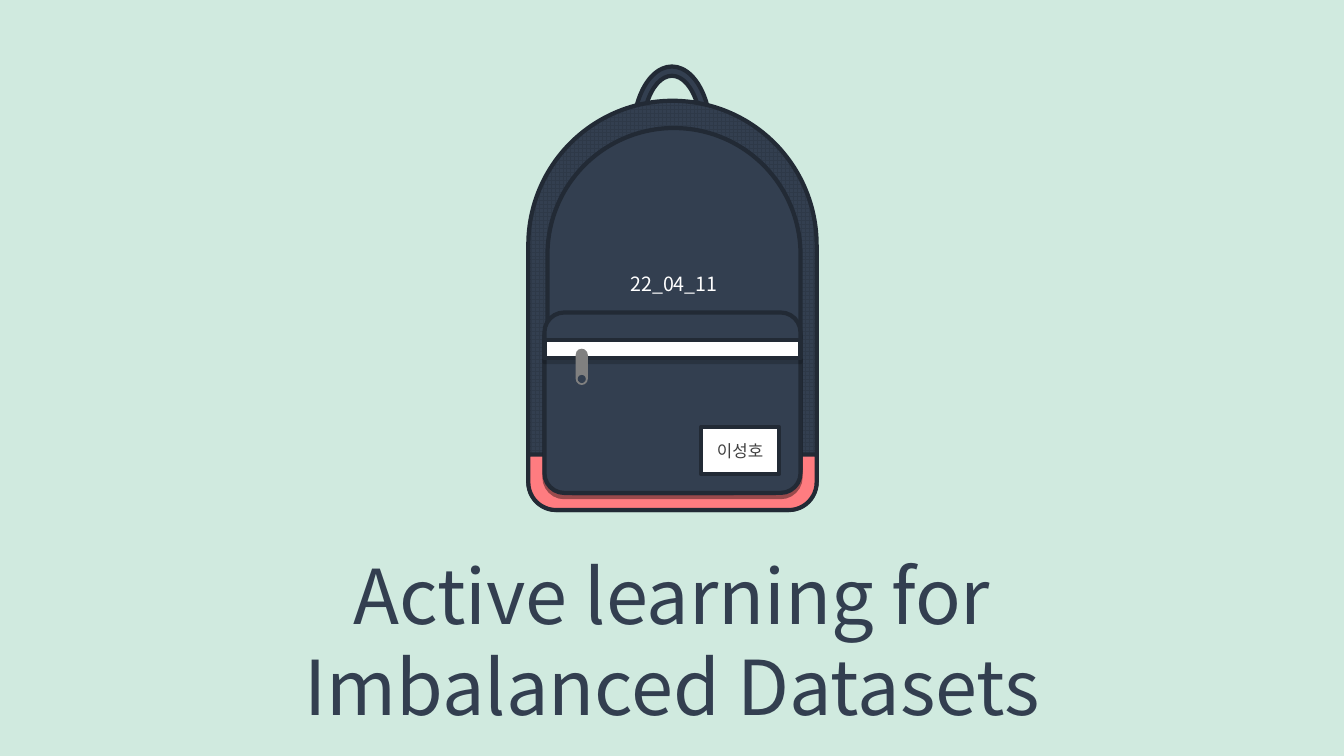
from lxml import etree
from pptx import Presentation
from pptx.dml.color import RGBColor
from pptx.enum.dml import MSO_PATTERN
from pptx.enum.shapes import MSO_SHAPE as Shape
from pptx.enum.text import MSO_ANCHOR as Anchor, MSO_AUTO_SIZE as AutoSize, PP_ALIGN as Align
from pptx.oxml.ns import qn
from pptx.util import Inches, Pt

MINT = RGBColor(0xD0, 0xEA, 0xDF)
NAVY = RGBColor(0x33, 0x3F, 0x50)
MESH = RGBColor(0x2E, 0x39, 0x48)
OUTLINE = RGBColor(0x22, 0x2A, 0x35)
CORAL = RGBColor(0xFF, 0x7C, 0x80)
ZIP_GRAY = RGBColor(0x80, 0x80, 0x80)
TAG_GRAY = RGBColor(0x40, 0x40, 0x40)
WHITE = RGBColor(0xFF, 0xFF, 0xFF)
FONT = "Noto Sans CJK KR"
TITLE_ONLY = 5


class BackpackSlide:
    def __init__(self, deck):
        self.page = deck.slides.add_slide(deck.slide_layouts[TITLE_ONLY])
        background = self.page.background.fill
        background.solid()
        background.fore_color.rgb = MINT
        self.backpack = self.page.shapes.add_group_shape()

    def piece(self, kind, left, top, width, height, fill, adjust=(), outlined=True):
        shape = self.backpack.shapes.add_shape(
            kind, Inches(left), Inches(top), Inches(width), Inches(height))
        for index, value in enumerate(adjust):
            shape.adjustments[index] = value
        shape.fill.solid()
        shape.fill.fore_color.rgb = fill
        shape.shadow.inherit = False
        if outlined:
            shape.line.color.rgb = OUTLINE
            shape.line.width = Pt(3)
        else:
            shape.line.fill.background()
        return shape

    def mesh(self, shape):
        shape.fill.patterned()
        shape.fill.pattern = MSO_PATTERN.LARGE_GRID
        shape.fill.fore_color.rgb = MESH
        shape.fill.back_color.rgb = NAVY

    def drop_shadow(self, shape, opacity):
        effects = shape._element.spPr.find(qn("a:effectLst"))
        shadow = etree.SubElement(effects, qn("a:outerShdw"), blurRad="0",
                                  dist=str(Pt(3)), dir="5400000", algn="t", rotWithShape="0")
        color = etree.SubElement(shadow, qn("a:srgbClr"), val="000000")
        etree.SubElement(color, qn("a:alpha"), val=str(opacity * 1000))

    def text(self, shape, words, size, color, anchor=Anchor.MIDDLE):
        frame = shape.text_frame
        frame.word_wrap = True
        frame.vertical_anchor = anchor
        para = frame.paragraphs[0]
        para.text = words
        para.alignment = Align.CENTER
        para.font.name = FONT
        para.font.size = Pt(size)
        para.font.color.rgb = color
        # Hangul takes its typeface from the East Asian font of the run
        run_properties = para.runs[0]._r.get_or_add_rPr()
        etree.SubElement(run_properties, qn("a:ea"), typeface=FONT)
        return frame

    def title(self, words, left, top, width, height):
        box = self.page.shapes.title
        box.left, box.top = Inches(left), Inches(top)
        box.width, box.height = Inches(width), Inches(height)
        frame = self.text(box, words, 54, NAVY, Anchor.TOP)
        frame.auto_size = AutoSize.SHAPE_TO_FIT_TEXT


def main():
    deck = Presentation()
    deck.slide_width, deck.slide_height = Inches(13.33), Inches(7.5)
    slide = BackpackSlide(deck)

    slide.piece(Shape.BLOCK_ARC, 6.28, 0.66, 0.77, 1.33, NAVY, (108, 0.98, 0.12))
    body = slide.piece(Shape.ROUND_2_SAME_RECTANGLE, 5.24, 1, 2.86, 4.06, NAVY, (0.5, 0.1))
    slide.mesh(body)
    slide.piece(Shape.ROUND_2_SAME_RECTANGLE, 5.24, 4.51, 2.86, 0.55, CORAL, (0, 0.5))
    front = slide.piece(Shape.ROUND_2_SAME_RECTANGLE, 5.43, 1.27, 2.51, 3.62, NAVY, (0.5, 0.1))
    date = slide.text(front, "22_04_11", 14, WHITE, Anchor.BOTTOM)
    date.margin_bottom = Inches(1.89)

    pocket = slide.piece(Shape.ROUNDED_RECTANGLE, 5.4, 3.1, 2.54, 1.79, NAVY, (0.11,))
    slide.drop_shadow(pocket, 40)
    zipper = slide.piece(Shape.RECTANGLE, 5.4, 3.37, 2.54, 0.18, WHITE)
    slide.drop_shadow(zipper, 18)
    slide.piece(Shape.ROUNDED_RECTANGLE, 5.71, 3.46, 0.12, 0.36, ZIP_GRAY, (0.5,), outlined=False)
    slide.piece(Shape.OVAL, 5.73, 3.72, 0.08, 0.08, NAVY, outlined=False)
    name_tag = slide.piece(Shape.ROUNDED_RECTANGLE, 6.95, 4.24, 0.78, 0.46, WHITE, (0,))
    slide.text(name_tag, "이성호", 12, TAG_GRAY)

    slide.title("Active learning for Imbalanced Datasets", 2.18, 5.4, 8.97, 1.92)
    deck.save("out.pptx")


if __name__ == "__main__":
    main()
